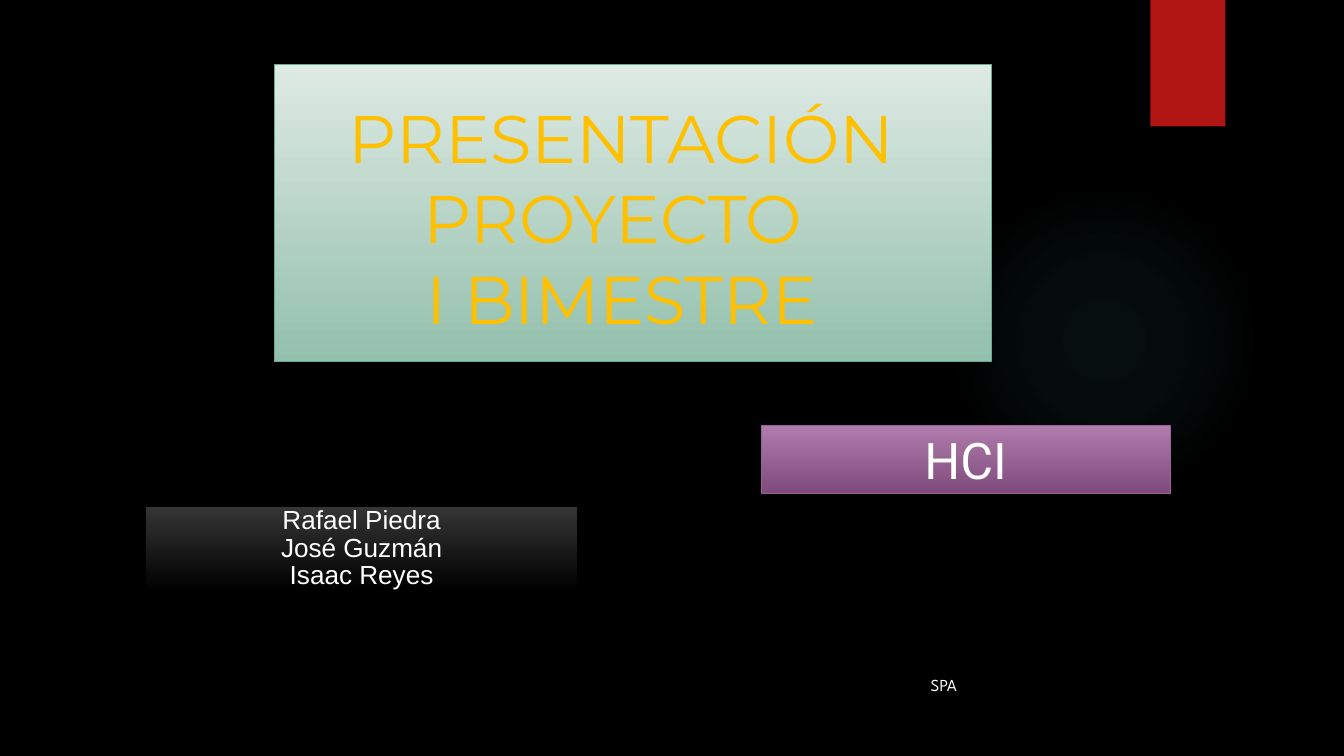
"""Builds the HCI project title slide."""
import pptx
import pptx.util
import pptx.dml.color
import pptx.enum.shapes
import pptx.enum.text
import pptx.oxml
import pptx.oxml.ns

Cm, Pt = pptx.util.Cm, pptx.util.Pt
SHAPE = pptx.enum.shapes.MSO_SHAPE
ALIGN = pptx.enum.text.PP_ALIGN
ANCHOR = pptx.enum.text.MSO_ANCHOR
rgb = pptx.dml.color.RGBColor.from_string


def add_block(kind, box, colors=(), outline=None):
    block = slide.shapes.add_shape(kind, *[Cm(length) for length in box])
    block.shadow.inherit = False
    if len(colors) == 1:
        block.fill.solid()
        block.fill.fore_color.rgb = rgb(colors[0])
    elif colors:
        block.fill.gradient()
        block.fill.gradient_angle = 270
        for stop, color, position in zip(block.fill.gradient_stops, colors, (0, 1)):
            stop.color.rgb = rgb(color)
            stop.position = position
    if outline:
        block.line.color.rgb = rgb(outline)
        block.line.width = Pt(0.75)
    else:
        block.line.fill.background()
    return block


def write(block, text, font, size, color, align=ALIGN.CENTER, anchor=ANCHOR.MIDDLE):
    frame = block.text_frame
    frame.text = text
    frame.word_wrap = True
    frame.vertical_anchor = anchor
    for paragraph in frame.paragraphs:
        paragraph.alignment = align
        for run in paragraph.runs:
            run.font.name = font
            run.font.size = Pt(size)
            run.font.color.rgb = rgb(color)
    return frame


presentation = pptx.Presentation()
presentation.slide_width = Cm(50.8)
presentation.slide_height = Cm(28.58)
slide = presentation.slides.add_slide(presentation.slide_layouts[6])
slide.background.fill.solid()
slide.background.fill.fore_color.rgb = rgb("000000")

glow = add_block(SHAPE.OVAL, (35.86, 6.99, 11.73, 11.73))
glow_stops = "".join(
    f'<a:gs pos="{position}000"><a:srgbClr val="50B9C1">'
    f'<a:alpha val="{opacity}000"/></a:srgbClr></a:gs>'
    for position, opacity in ((0, 7), (36, 6), (69, 0), (100, 0))
)
glow_fill = pptx.oxml.parse_xml(
    f'<a:gradFill {pptx.oxml.ns.nsdecls("a")} rotWithShape="1"><a:gsLst>{glow_stops}</a:gsLst>'
    '<a:path path="circle"><a:fillToRect l="50000" t="50000" r="50000" b="50000"/></a:path>'
    '</a:gradFill>'
)
glow.element.spPr.find(pptx.oxml.ns.qn("a:prstGeom")).addnext(glow_fill)

add_block(SHAPE.RECTANGLE, (43.48, 0, 2.84, 4.78), ["B01513"])
add_block(SHAPE.RECTANGLE, (10.36, 2.44, 27.1, 11.23), ["DEEAE4", "93C0AC"], "6AAC90")

title = slide.shapes.add_textbox(Cm(7.62), Cm(3.51), Cm(31.75), Cm(9.5))
write(title, "PRESENTACIÓN PROYECTO \nI BIMESTRE", "Montserrat", 72, "FFC000", anchor=ANCHOR.TOP)

course = add_block(SHAPE.RECTANGLE, (28.78, 16.08, 15.44, 2.57), ["AF7CAC", "7F4B7C"], "9E5E9B")
write(course, "HCI", "Roboto", 54, "FFFFFF")

authors = add_block(SHAPE.RECTANGLE, (5.51, 19.15, 16.31, 3.2), ["353535", "000000"])
names = write(authors, "Rafael Piedra\nJosé Guzmán\nIsaac Reyes", "Arial", 28, "FEFFFD")
names.margin_left = names.margin_top = names.margin_right = names.margin_bottom = 0
for author in names.paragraphs:
    author.line_spacing = Pt(29.4)

language = slide.shapes.add_textbox(Cm(34.93), Cm(25.4), Cm(13.54), Cm(1.02))
write(language, "SPA", "League Spartan", 18, "FFFFFF", ALIGN.LEFT, ANCHOR.TOP)

presentation.save("out.pptx")
